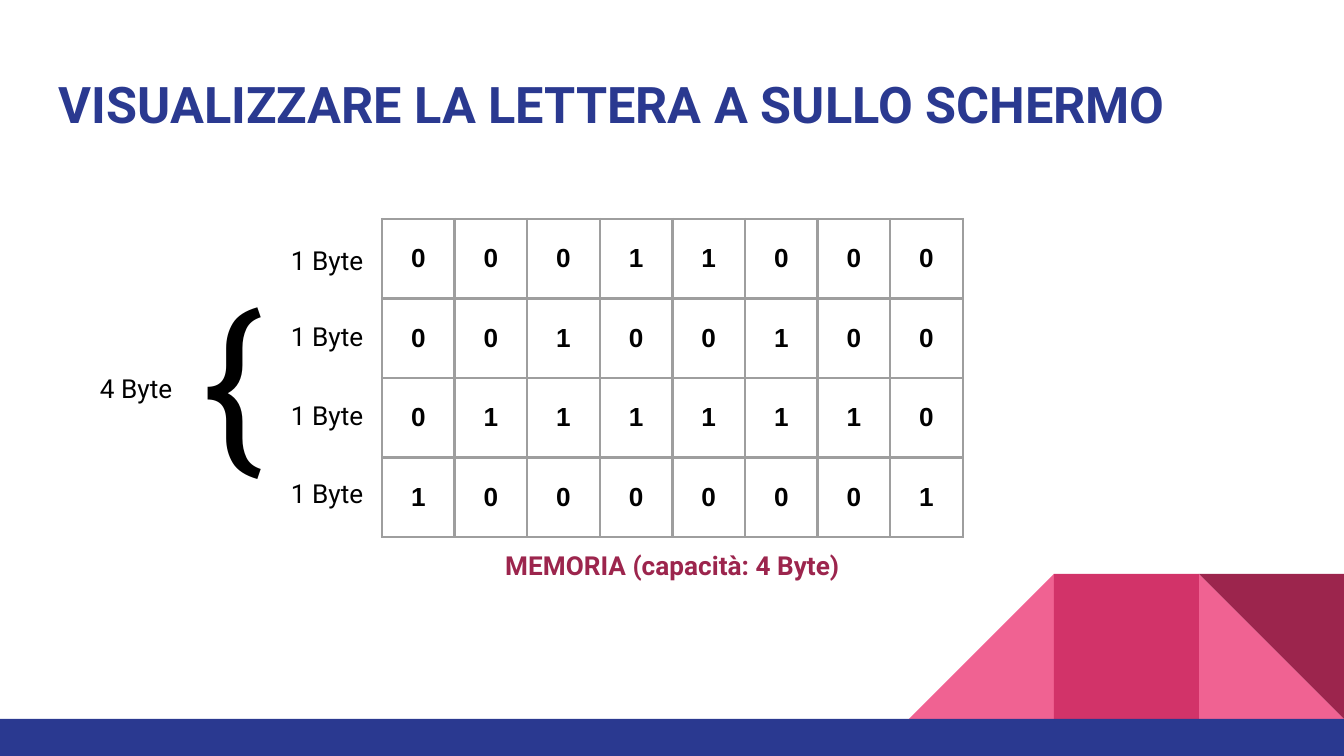
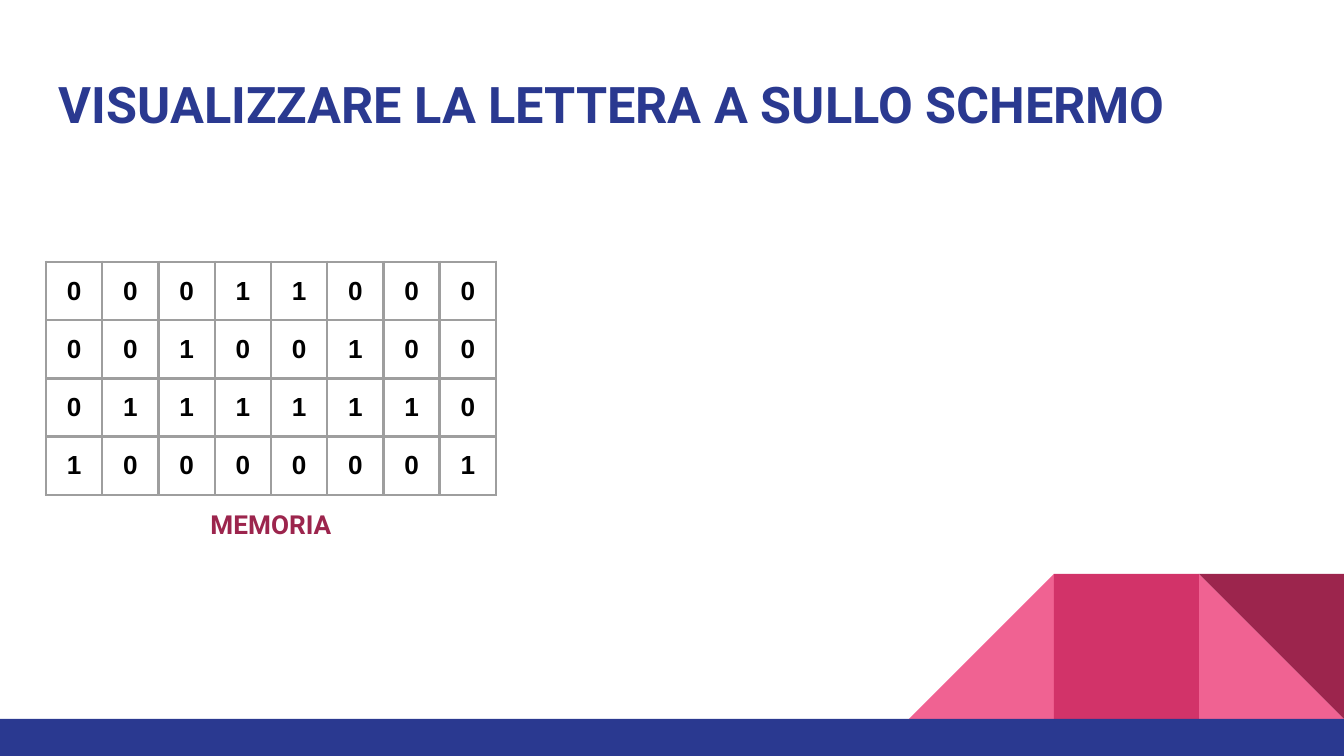
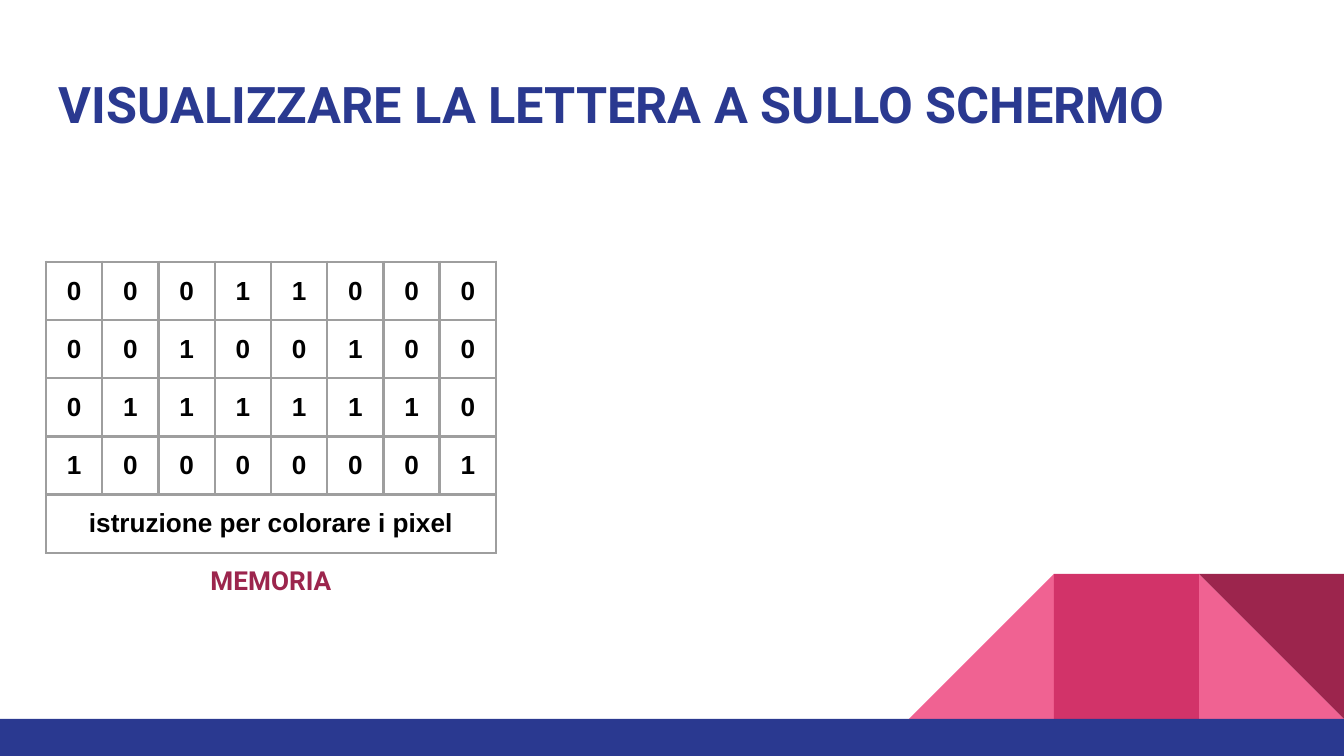
from lxml.etree import SubElement
from pptx import Presentation
from pptx.dml.color import RGBColor
from pptx.enum.shapes import MSO_SHAPE as SHAPE
from pptx.enum.text import MSO_ANCHOR as ANCHOR, MSO_AUTO_SIZE as AUTO, PP_ALIGN as ALIGN
from pptx.oxml.ns import qn
from pptx.util import Pt

BLUE = RGBColor(0x2A, 0x39, 0x90)
PINK = RGBColor(0xF0, 0x62, 0x92)
ROSE = RGBColor(0xD2, 0x33, 0x69)
WINE = RGBColor(0x9C, 0x25, 0x4D)
GREY = RGBColor(0x9E, 0x9E, 0x9E)
BLACK = RGBColor(0, 0, 0)

W, H = 1344, 756
EMU_PER_PX = 914400 / 134.4
INSET = 13
BORDER = Pt(1.5)
TILE, BAR_TOP = 145, 719
LABEL_SIZE = (102, 59)

TITLE_FONT = dict(name="Roboto", size=Pt(27), bold=True)
CAPTION_FONT = dict(name="Roboto", size=Pt(14), bold=True)
LABEL_FONT = dict(name="Roboto", size=Pt(14))
BRACE_FONT = dict(name="Roboto", size=Pt(96))
CELL_FONT = dict(name="Arial", size=Pt(14), bold=True)

TITLE = "VISUALIZZARE LA LETTERA A SULLO SCHERMO"
LETTER_A = ["00011000", "00100100", "01111110", "10000001"]
INSTRUCTION = "istruzione per colorare i pixel"

# Boxes are left, top, width, height
SLIDES = [
    dict(memory=(382, 219, 581, 318), caption="MEMORIA (capacità: 4 Byte)", caption_top=536,
         labels=[("1 Byte", 278, 231), ("1 Byte", 278, 307), ("1 Byte", 278, 386),
                 ("1 Byte", 278, 464), ("4 Byte", 87, 359)],
         brace=(190, 255, 89, 245)),
    dict(memory=(46, 262, 450, 233), caption="MEMORIA", caption_top=495),
    dict(memory=(46, 262, 450, 291), caption="MEMORIA", caption_top=551, footer=INSTRUCTION),
]

# Shape, left, top, width, height, colour, rotation, mirrored
DECOR = [
    (SHAPE.RIGHT_TRIANGLE, W - TILE, BAR_TOP - TILE, TILE, TILE, PINK, 0, False),
    (SHAPE.RIGHT_TRIANGLE, W - 3 * TILE, BAR_TOP - TILE, TILE, TILE, PINK, 0, True),
    (SHAPE.RECTANGLE, W - 2 * TILE, BAR_TOP - TILE, TILE, TILE, ROSE, 0, False),
    (SHAPE.RIGHT_TRIANGLE, W - TILE, BAR_TOP - TILE, TILE, TILE, WINE, 180, False),
    (SHAPE.RECTANGLE, 0, BAR_TOP, W, H - BAR_TOP, BLUE, 0, False),
]


def px(*lengths):
    return [round(n * EMU_PER_PX) for n in lengths]


def write(p, text, font, color, align=ALIGN.LEFT):
    p.alignment = align
    r = p.add_run()
    r.text = text
    for key, value in font.items():
        setattr(r.font, key, value)
    r.font.color.rgb = color


def set_insets(frame):
    for side in ("left", "top", "right", "bottom"):
        setattr(frame, f"margin_{side}", px(INSET)[0])


def add_text(slide, box, text, font, color=BLACK, align=ALIGN.LEFT, auto=AUTO.SHAPE_TO_FIT_TEXT):
    tf = slide.shapes.add_textbox(*px(*box)).text_frame
    tf.word_wrap = True
    tf.auto_size = auto
    set_insets(tf)
    write(tf.paragraphs[0], text, font, color, align)


def add_decor(slide):
    for kind, left, top, width, height, color, rotation, mirrored in DECOR:
        sp = slide.shapes.add_shape(kind, *px(left, top, width, height))
        sp.shadow.inherit = False
        sp.fill.solid()
        sp.fill.fore_color.rgb = color
        sp.line.fill.background()
        sp.rotation = rotation
        if mirrored:
            sp._element.spPr.xfrm.set("flipH", "1")


def format_cell(cell):
    tc_pr = cell._tc.get_or_add_tcPr()
    for side in "LRTB":
        ln = SubElement(tc_pr, qn(f"a:ln{side}"), w=str(BORDER))
        fill = SubElement(ln, qn("a:solidFill"))
        SubElement(fill, qn("a:srgbClr"), val=str(GREY))
    cell.fill.background()
    cell.vertical_anchor = ANCHOR.MIDDLE
    set_insets(cell)


def add_memory(slide, box, footer=None):
    """Table of bits, with an optional merged last row."""
    rows = [*LETTER_A, [footer]] if footer else LETTER_A
    n_cols = len(LETTER_A[0])
    left, top, width, height = px(*box)
    table = slide.shapes.add_table(len(rows), n_cols, left, top, width, height).table
    table.first_row = table.horz_banding = False
    for col in table.columns:
        col.width = width // n_cols
    for row in table.rows:
        row.height = height // len(rows)
    for cell in table.iter_cells():
        format_cell(cell)
    for i, row in enumerate(rows):
        for j, text in enumerate(row):
            write(table.cell(i, j).text_frame.paragraphs[0], text, CELL_FONT, BLACK, ALIGN.CENTER)
    if footer:
        last = len(rows) - 1
        table.cell(last, 0).merge(table.cell(last, n_cols - 1))


def main():
    prs = Presentation()
    prs.slide_width, prs.slide_height = px(W, H)
    for data in SLIDES:
        slide = prs.slides.add_slide(prs.slide_layouts[6])
        add_decor(slide)
        add_text(slide, (46, 60, 1252, 89), TITLE, TITLE_FONT, BLUE, auto=AUTO.NONE)
        left, _, width, _ = data["memory"]
        add_text(slide, (left, data["caption_top"], width, 59), data["caption"],
                 CAPTION_FONT, WINE, ALIGN.CENTER)
        add_memory(slide, data["memory"], data.get("footer"))
        for text, x, y in data.get("labels", []):
            add_text(slide, (x, y, *LABEL_SIZE), text, LABEL_FONT)
        if "brace" in data:
            add_text(slide, data["brace"], "{", BRACE_FONT)
    prs.save("out.pptx")


if __name__ == "__main__":
    main()
